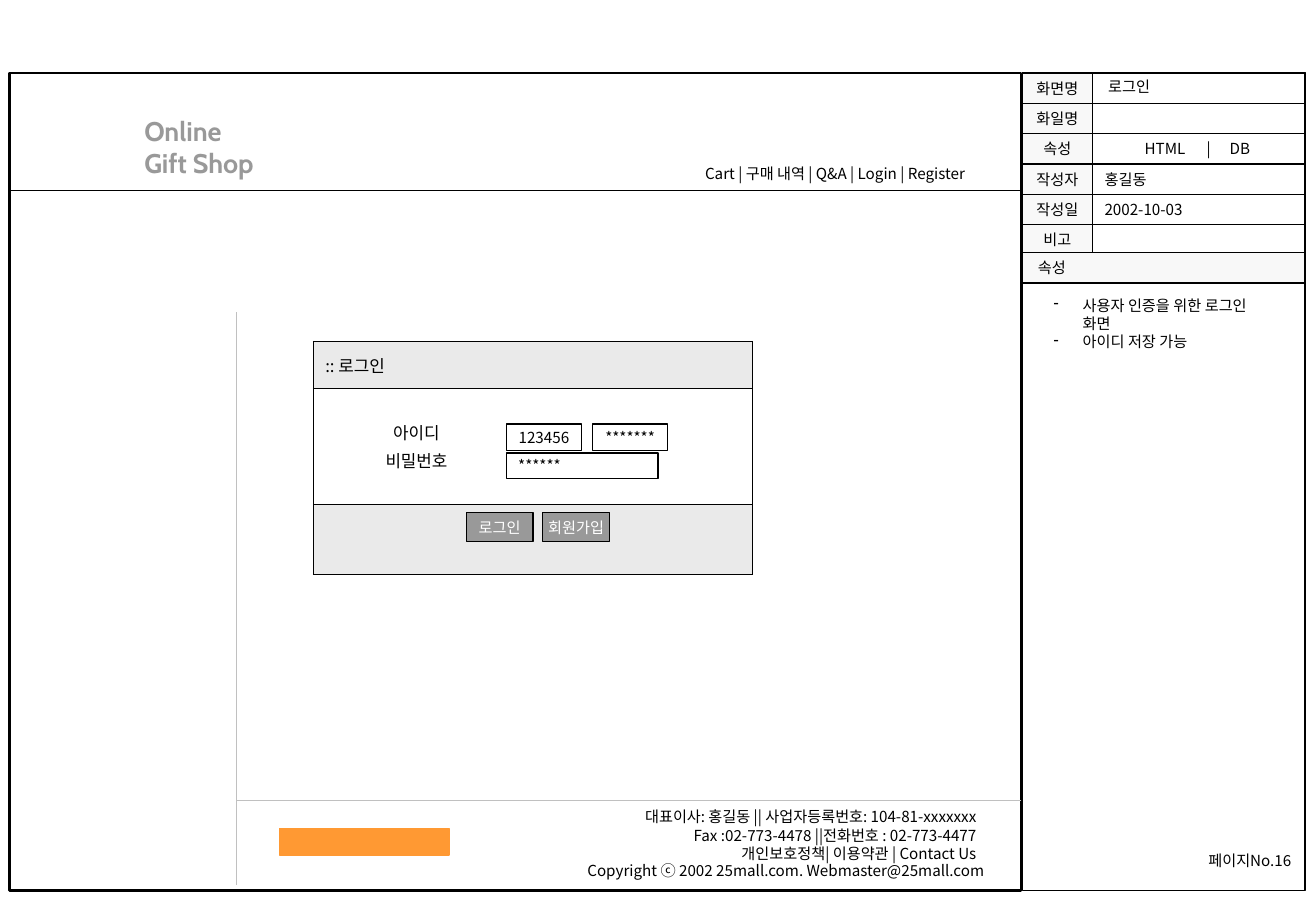
import pptx
import pptx.dml.color
import pptx.enum.shapes
import pptx.enum.text
import pptx.oxml.ns
import pptx.util
from lxml import etree

Inches = pptx.util.Inches
Pt = pptx.util.Pt
RGBColor = pptx.dml.color.RGBColor
ALIGN = pptx.enum.text.PP_ALIGN
ANCHOR = pptx.enum.text.MSO_ANCHOR
qn = pptx.oxml.ns.qn

BLACK = RGBColor(0x00, 0x00, 0x00)
WHITE = RGBColor(0xFF, 0xFF, 0xFF)
LABEL_GRAY = RGBColor(0xF8, 0xF8, 0xF8)
PANEL_GRAY = RGBColor(0xEA, 0xEA, 0xEA)
BUTTON_GRAY = RGBColor(0x99, 0x99, 0x99)
RULE_GRAY = RGBColor(0xC0, 0xC0, 0xC0)
ORANGE = RGBColor(0xFF, 0x99, 0x33)
BODY_FONT = "Noto Sans CJK KR"
TITLE_FONT = "Cabin"


class Wireframe:
    def __init__(self, slide):
        self.slide = slide

    def style(self, text_frame, size=9, color=BLACK, font=BODY_FONT, bold=False,
              align=ALIGN.LEFT):
        for paragraph in text_frame.paragraphs:
            paragraph.alignment = align
            for run in paragraph.runs:
                run.font.size = Pt(size)
                run.font.bold = bold
                run.font.color.rgb = color
                run.font.name = font
                east_asian = etree.SubElement(run.font._element, qn("a:ea"))
                east_asian.set("typeface", font)

    def box(self, left, top, width, height, text="", fill=None, line=BLACK,
            line_width=0.75, inset=0.1, align=ALIGN.CENTER, color=BLACK):
        shape = self.slide.shapes.add_shape(
            pptx.enum.shapes.MSO_SHAPE.RECTANGLE,
            Inches(left), Inches(top), Inches(width), Inches(height))
        shape.shadow.inherit = False
        if fill is None:
            shape.fill.background()
        else:
            shape.fill.solid()
            shape.fill.fore_color.rgb = fill
        shape.line.color.rgb = line
        shape.line.width = Pt(line_width)
        if text:
            frame = shape.text_frame
            frame.word_wrap = align == ALIGN.LEFT
            frame.vertical_anchor = ANCHOR.MIDDLE
            frame.margin_left = Inches(inset)
            frame.text = text
            self.style(frame, color=color, align=align)
        return shape

    def text(self, left, top, width, height, text, anchor=ANCHOR.TOP, **style):
        shape = self.slide.shapes.add_textbox(
            Inches(left), Inches(top), Inches(width), Inches(height))
        frame = shape.text_frame
        frame.word_wrap = True
        frame.vertical_anchor = anchor
        frame.text = text
        self.style(frame, **style)
        return shape

    def bullets(self, shape, indent):
        for paragraph in shape.text_frame.paragraphs:
            properties = paragraph._p.get_or_add_pPr()
            properties.set("marL", str(Inches(indent)))
            properties.set("indent", str(-Inches(indent)))
            etree.SubElement(properties, qn("a:buChar")).set("char", "-")

    def tabs(self, shape, positions):
        properties = shape.text_frame.paragraphs[0]._p.get_or_add_pPr()
        tab_list = etree.SubElement(properties, qn("a:tabLst"))
        for position in positions:
            tab = etree.SubElement(tab_list, qn("a:tab"))
            tab.set("pos", str(Inches(position)))
            tab.set("algn", "l")

    def line(self, left, top, right, bottom, color):
        connector = self.slide.shapes.add_connector(
            pptx.enum.shapes.MSO_CONNECTOR.STRAIGHT,
            Inches(left), Inches(top), Inches(right), Inches(bottom))
        connector.line.color.rgb = color
        connector.line.width = Pt(0.75)
        etree.SubElement(connector._element.spPr, qn("a:effectLst"))

    def border(self, cell):
        properties = cell._tc.get_or_add_tcPr()
        for index, side in enumerate(("a:lnL", "a:lnR", "a:lnT", "a:lnB")):
            edge = etree.Element(qn(side), w=str(Pt(0.45)))
            fill = etree.SubElement(edge, qn("a:solidFill"))
            etree.SubElement(fill, qn("a:srgbClr")).set("val", str(BLACK))
            properties.insert(index, edge)

    def table(self, left, top, width, rows):
        height = sum(row[0] for row in rows)
        table = self.slide.shapes.add_table(
            len(rows), 1, Inches(left), Inches(top), Inches(width), Inches(height)).table
        table.first_row = False
        table.horz_banding = False
        for index, (row_height, text, fill, align, right_margin) in enumerate(rows):
            table.rows[index].height = Inches(row_height)
            cell = table.cell(index, 0)
            cell.vertical_anchor = ANCHOR.MIDDLE
            cell.margin_left = Inches(0.1)
            cell.margin_right = Inches(right_margin)
            if fill is None:
                cell.fill.background()
            else:
                cell.fill.solid()
                cell.fill.fore_color.rgb = fill
            if text:
                cell.text_frame.text = text
                self.style(cell.text_frame, size=10, align=align)
                for paragraph in cell.text_frame.paragraphs[1:]:
                    paragraph.space_before = Pt(2.5)
            self.border(cell)


def draw_info_panel(wireframe):
    wireframe.box(8.42, 0.6, 2.33, 6.73)
    wireframe.box(0.08, 0.6, 8.33, 6.73, line_width=1.5)
    fields = [("화면명", ""), ("화일명", ""), ("속성", "\tHTML\t|\tDB"),
              ("작성자", "홍길동"), ("작성일", "2002-10-03"), ("비고", "")]
    for index, (label, value) in enumerate(fields):
        top = 0.6 + 0.25 * index
        wireframe.box(8.42, top, 0.58, 0.25, label, LABEL_GRAY)
        field = wireframe.box(9, top, 1.75, 0.25, value, WHITE, align=ALIGN.LEFT)
        if "\t" in value:
            wireframe.tabs(field, [0.33, 0.84, 1.03])
    wireframe.box(8.42, 2.08, 2.33, 0.25, "속성", LABEL_GRAY, inset=0.13, align=ALIGN.LEFT)
    wireframe.text(9.03, 0.59, 1, 0.25, "로그인")
    notes = wireframe.text(8.58, 2.39, 1.84, 0.4,
                           "사용자 인증을 위한 로그인 화면\n아이디 저장 가능")
    wireframe.bullets(notes, 0.24)
    wireframe.text(9.8, 6.92, 0.99, 0.33, "페이지No.16",
                   anchor=ANCHOR.MIDDLE, align=ALIGN.CENTER)


def draw_login(wireframe):
    wireframe.table(2.58, 2.81, 3.62, [
        (0.39, ":: 로그인", PANEL_GRAY, ALIGN.LEFT, 0.1),
        (0.95, "아이디\n비밀번호", None, ALIGN.CENTER, 2.02),
        (0.58, "", PANEL_GRAY, ALIGN.LEFT, 0.1)])
    for left, value in ((4.17, "123456"), (4.88, "*******")):
        wireframe.box(left, 3.49, 0.62, 0.22, value)
    wireframe.box(4.17, 3.73, 1.25, 0.21, "******", align=ALIGN.LEFT)
    for left, label in ((3.84, "로그인"), (4.47, "회원가입")):
        wireframe.box(left, 4.22, 0.55, 0.24, label, BUTTON_GRAY, color=WHITE)


def draw_page_frame(wireframe):
    wireframe.line(1.95, 2.57, 1.95, 7.29, RULE_GRAY)
    wireframe.line(1.95, 6.59, 8.41, 6.59, RULE_GRAY)
    wireframe.line(0.08, 1.57, 8.41, 1.57, BLACK)
    wireframe.text(1.09, 0.89, 1.21, 0.64, "Online\nGift Shop", size=16,
                   color=BUTTON_GRAY, font=TITLE_FONT, bold=True)
    wireframe.text(5.71, 1.3, 2.6, 0.25, "Cart | 구매 내역 | Q&A | Login | Register")
    wireframe.box(2.3, 6.82, 1.4, 0.22, fill=ORANGE, line=ORANGE)
    wireframe.text(4.67, 6.6, 3.47, 0.55,
                   "대표이사: 홍길동 || 사업자등록번호: 104-81-xxxxxxx\n"
                   "Fax :02-773-4478 ||전화번호 : 02-773-4477\n"
                   "개인보호정책| 이용약관 | Contact Us", align=ALIGN.RIGHT)
    wireframe.text(4.74, 7.04, 3.66, 0.25,
                   "Copyright ⓒ 2002 25mall.com. Webmaster@25mall.com")


def main():
    presentation = pptx.Presentation()
    presentation.slide_width = Inches(10.84)
    presentation.slide_height = Inches(7.5)
    wireframe = Wireframe(presentation.slides.add_slide(presentation.slide_layouts[6]))
    draw_info_panel(wireframe)
    draw_login(wireframe)
    draw_page_frame(wireframe)
    presentation.save("out.pptx")


if __name__ == "__main__":
    main()
